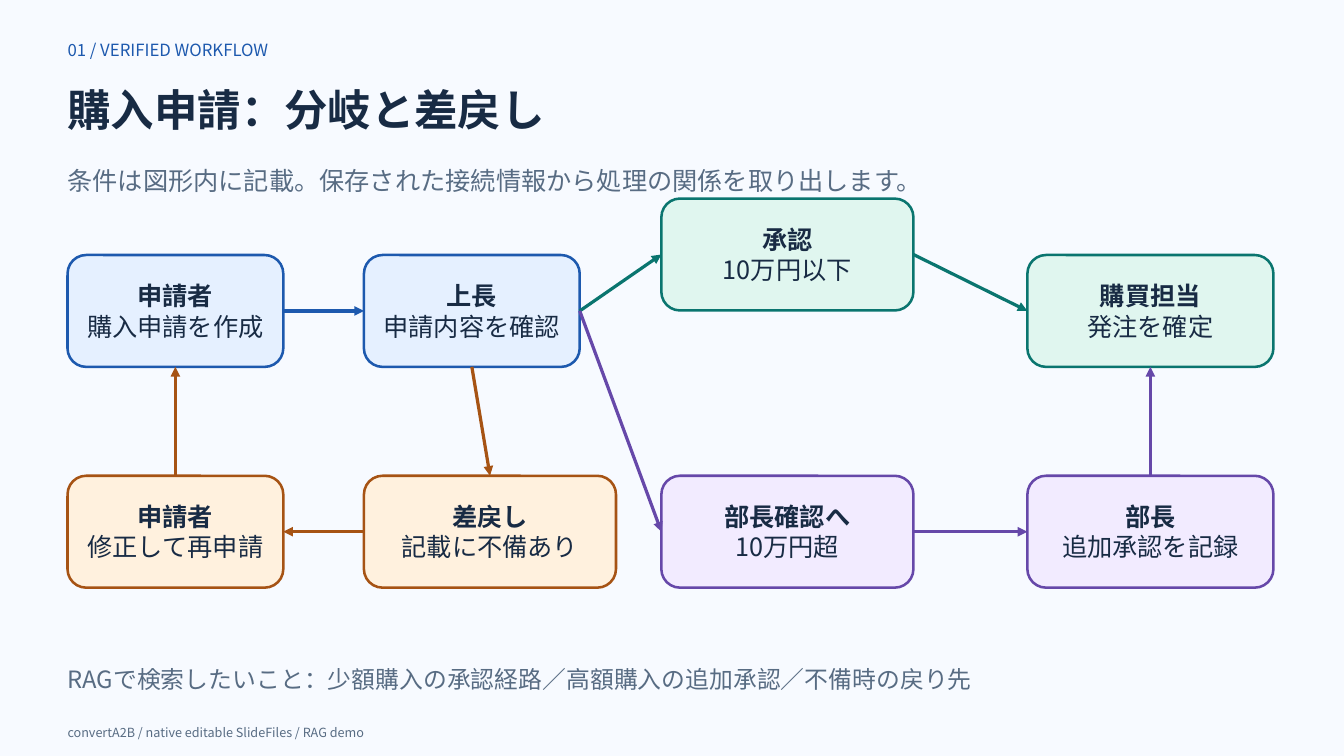
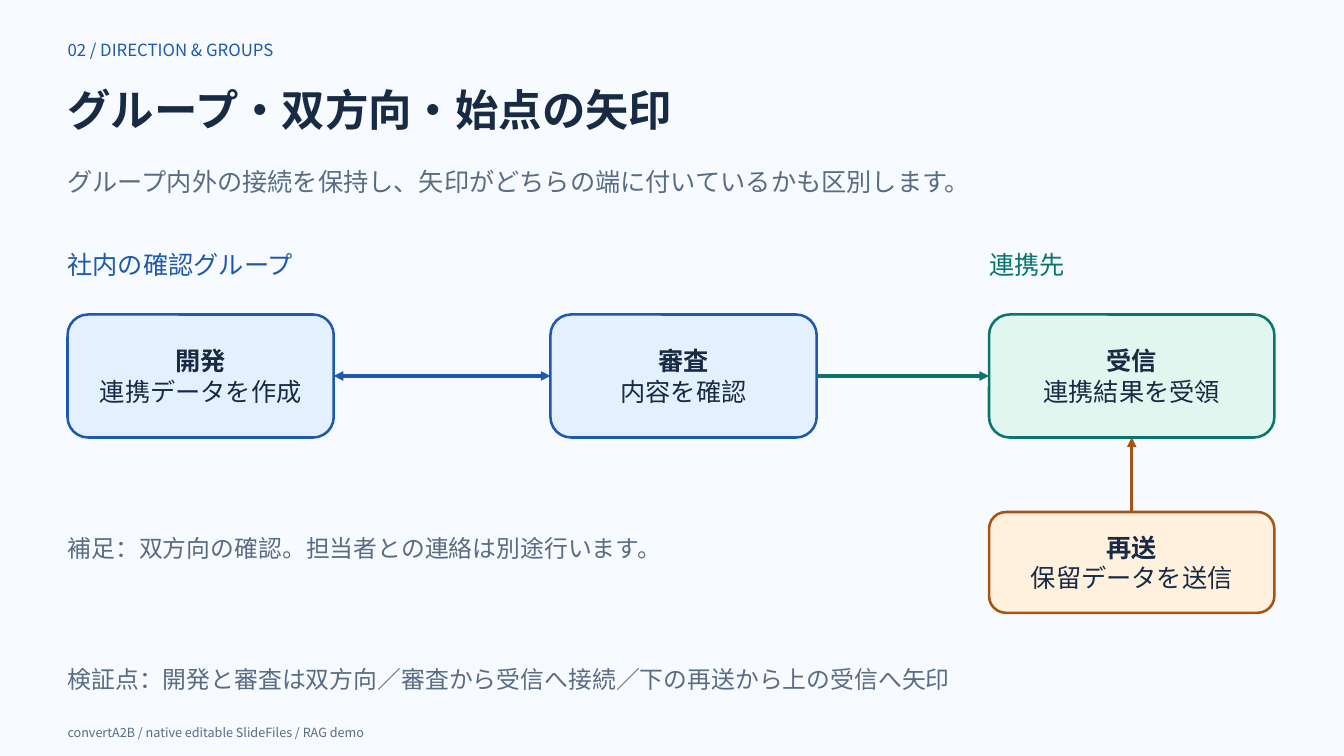
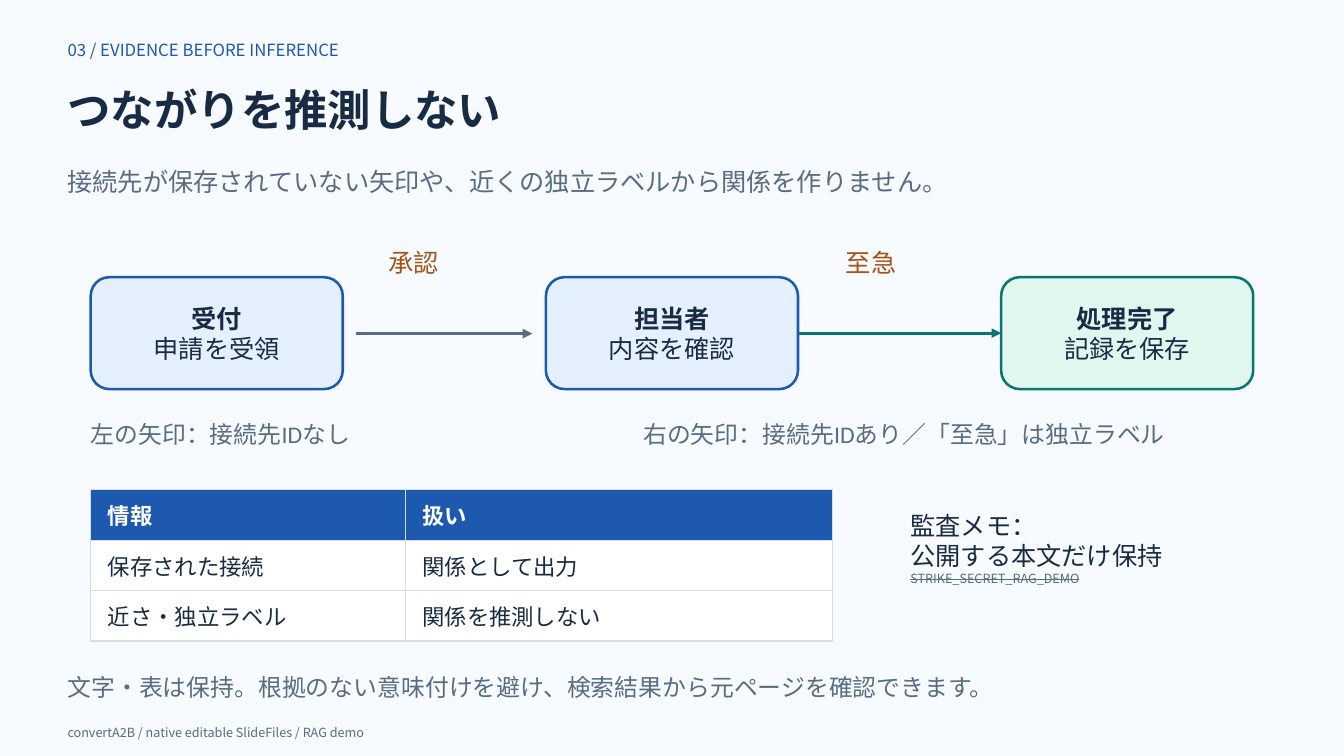
import dataclasses

import pptx
import pptx.dml.color
import pptx.enum.shapes
import pptx.enum.text
import pptx.oxml
import pptx.oxml.ns
import pptx.util
from pptx.util import Inches

ALIGN = pptx.enum.text.PP_ALIGN
TOP, LEFT, BOTTOM, RIGHT = range(4)


@dataclasses.dataclass(frozen=True)
class Theme:
    paper: str = "F7FAFF"
    white: str = "FFFFFF"
    ink: str = "182B44"
    gray: str = "586C83"
    rule: str = "D2DEEC"
    blue: str = "1D59AE"
    green: str = "0A756F"
    brown: str = "A65314"
    plum: str = "6648A9"
    sans: str = "Calibri"
    noto: str = "Noto Sans CJK JP"
    head: int = 31
    body: int = 18
    note: int = 17
    cell: int = 16
    tag: int = 12
    foot: int = 9
    edge: float = 1.8
    wire: float = 2.3
    left: float = 0.67
    wide: float = 11.97


T = Theme()
TINT = {T.blue: "E5F0FF", T.green: "E0F6EF", T.brown: "FFF1DE", T.plum: "F2EBFF"}


def tone(code):
    return pptx.dml.color.RGBColor.from_string(code)


def put(par, text, *, size=T.body, color=T.ink, bold=False, font=T.sans, strike=False):
    run = par.add_run()
    run.text = text
    run.font.size = pptx.util.Pt(size)
    run.font.bold = bold
    run.font.name = font
    run.font.color.rgb = tone(color)
    if strike:
        run.font._element.set("strike", "sngStrike")
    return run


def child(node, tag, **attrs):
    item = pptx.oxml.ns.qn(tag)
    made = node.makeelement(item, attrs)
    node.append(made)
    return made


class Deck:
    def __init__(self):
        self.file = pptx.Presentation()
        self.file.slide_width = Inches(13.33)
        self.file.slide_height = Inches(7.5)
        self.slide = None
        self.area = None

    def page(self, tag, title, lead, close, *, lead_high=0.58, low=6.44, high=0.6, font=T.sans):
        self.slide = self.file.slides.add_slide(self.file.slide_layouts[6])
        self.area = self.slide.shapes
        fill = self.slide.background.fill
        fill.solid()
        fill.fore_color.rgb = tone(T.paper)
        full = T.left, T.wide
        self.text(tag, full[0], 0.28, full[1], 0.42, size=T.tag, color=T.blue, font=T.noto)
        self.text(title, full[0], 0.74, full[1], 0.68, size=T.head, bold=True)
        self.text("convertA2B / native editable SlideFiles / RAG demo", full[0], 7.14, full[1], 0.25,
                  size=T.foot, color=T.gray, font=T.noto)
        self.text(lead, full[0], 1.51, full[1], lead_high, color=T.gray)
        self.text(close, full[0], low, full[1], high, size=T.note, color=T.gray, font=font)

    def group(self):
        self.area = self.slide.shapes.add_group_shape().shapes

    def leave(self):
        self.area = self.slide.shapes

    def text(self, text, x, y, w, h, **form):
        box = self.area.add_textbox(Inches(x), Inches(y), Inches(w), Inches(h))
        frame = self.frame(box.text_frame, 0, 0)
        put(frame.paragraphs[0], text, **form)
        return frame

    def frame(self, frame, side, end):
        frame.word_wrap = True
        frame.vertical_anchor = pptx.enum.text.MSO_ANCHOR.MIDDLE
        frame.margin_left = frame.margin_right = Inches(side)
        frame.margin_top = frame.margin_bottom = Inches(end)
        return frame

    def card(self, name, task, color, x, y, w, h=1.11, font=T.sans):
        kind = pptx.enum.shapes.MSO_SHAPE.ROUNDED_RECTANGLE
        box = self.area.add_shape(kind, Inches(x), Inches(y), Inches(w), Inches(h))
        box.shadow.inherit = False
        box.fill.solid()
        box.fill.fore_color.rgb = tone(TINT[color])
        box.line.color.rgb = tone(color)
        box.line.width = pptx.util.Pt(T.edge)
        frame = self.frame(box.text_frame, 0.11, 0.06)
        first, second = frame.paragraphs[0], frame.add_paragraph()
        first.alignment = second.alignment = ALIGN.CENTER
        put(first, name, bold=True)
        put(second, task, font=font)
        return box

    def wire(self, color, x1, y1, x2, y2, ends=("tailEnd",)):
        kind = pptx.enum.shapes.MSO_CONNECTOR.STRAIGHT
        line = self.area.add_connector(kind, Inches(x1), Inches(y1), Inches(x2), Inches(y2))
        line.line.color.rgb = tone(color)
        line.line.width = pptx.util.Pt(T.wire)
        for end in ends:
            child(line.line._get_or_add_ln(), "a:" + end, type="triangle")
        child(line._element.spPr, "a:effectLst")
        return line

    def join(self, color, start, out, stop, into, ends=("tailEnd",)):
        line = self.wire(color, 0, 0, 1, 1, ends)
        line.begin_connect(start, out)
        line.end_connect(stop, into)

    def table(self, rows, x, y, cols, high):
        size = Inches(sum(cols)), Inches(high * len(rows))
        grid = self.area.add_table(len(rows), len(cols), Inches(x), Inches(y), *size).table
        for col, wide in zip(grid.columns, cols):
            col.width = Inches(wide)
        for r, row in enumerate(rows):
            grid.rows[r].height = Inches(high)
            for c, text in enumerate(row):
                self.cell(grid.cell(r, c), text, r == 0)

    def cell(self, cell, text, head):
        cell.margin_left = cell.margin_right = Inches(0.17)
        cell.margin_top = cell.margin_bottom = Inches(0.06)
        cell.vertical_anchor = pptx.enum.text.MSO_ANCHOR.MIDDLE
        put(cell.text_frame.paragraphs[0], text, size=T.cell, bold=head,
            color=T.white if head else T.ink)
        props = cell._tc.get_or_add_tcPr()
        for side in ("a:lnL", "a:lnR", "a:lnT", "a:lnB"):
            line = child(props, side, w=str(pptx.util.Pt(1)))
            child(child(line, "a:solidFill"), "a:srgbClr", val=T.rule)
        cell.fill.solid()
        cell.fill.fore_color.rgb = tone(T.blue if head else T.white)


def flow(deck):
    deck.page("01 / VERIFIED WORKFLOW", "購入申請：分岐と差戻し",
              "条件は図形内に記載。保存された接続情報から処理の関係を取り出します。",
              "RAGで検索したいこと：少額購入の承認経路／高額購入の追加承認／不備時の戻り先",
              lead_high=0.56, font=T.noto)
    cols = T.left, 3.61, 6.56, 10.19
    high, low = 2.53, 4.72
    ask = deck.card("申請者", "購入申請を作成", T.blue, cols[0], high, 2.14)
    boss = deck.card("上長", "申請内容を確認", T.blue, cols[1], high, 2.14)
    pass_ = deck.card("承認", "10万円以下", T.green, cols[2], 1.97, 2.5, font=T.noto)
    buy = deck.card("購買担当", "発注を確定", T.green, cols[3], high, 2.44)
    back = deck.card("差戻し", "記載に不備あり", T.brown, cols[1], low, 2.5)
    redo = deck.card("申請者", "修正して再申請", T.brown, cols[0], low, 2.14)
    rise = deck.card("部長確認へ", "10万円超", T.plum, cols[2], low, 2.5, font=T.noto)
    chief = deck.card("部長", "追加承認を記録", T.plum, cols[3], low, 2.44)
    for link in (
        (T.blue, ask, RIGHT, boss, LEFT),
        (T.green, boss, RIGHT, pass_, LEFT),
        (T.green, pass_, RIGHT, buy, LEFT),
        (T.brown, boss, BOTTOM, back, TOP),
        (T.brown, back, LEFT, redo, RIGHT),
        (T.brown, redo, TOP, ask, BOTTOM),
        (T.plum, boss, RIGHT, rise, LEFT),
        (T.plum, rise, RIGHT, chief, LEFT),
        (T.plum, chief, TOP, buy, BOTTOM),
    ):
        deck.join(*link)


def groups(deck):
    deck.page("02 / DIRECTION & GROUPS", "グループ・双方向・始点の矢印",
              "グループ内外の接続を保持し、矢印がどちらの端に付いているかも区別します。",
              "検証点：開発と審査は双方向／審査から受信へ接続／下の再送から上の受信へ矢印")
    far, row, tall = 9.81, 3.12, 1.22
    deck.text("社内の確認グループ", T.left, 2.36, 7.71, 0.53, color=T.blue)
    deck.text("連携先", far, 2.36, 2.83, 0.53, color=T.green)
    deck.group()
    make = deck.card("開発", "連携データを作成", T.blue, T.left, row, 2.64, tall)
    check = deck.card("審査", "内容を確認", T.blue, 5.46, row, 2.64, tall)
    deck.join(T.blue, make, RIGHT, check, LEFT, ("headEnd", "tailEnd"))
    deck.text("補足：双方向の確認。担当者との連絡は別途行います。", T.left, 5.06, 7.75, 0.75,
              size=T.note, color=T.gray)
    deck.leave()
    take = deck.card("受信", "連携結果を受領", T.green, far, row, 2.83, tall)
    send = deck.card("再送", "保留データを送信", T.brown, far, 5.08, 2.83, 1)
    deck.join(T.green, check, RIGHT, take, LEFT)
    deck.join(T.brown, take, BOTTOM, send, TOP, ("headEnd",))


def proof(deck):
    deck.page("03 / EVIDENCE BEFORE INFERENCE", "つながりを推測しない",
              "接続先が保存されていない矢印や、近くの独立ラベルから関係を作りません。",
              "文字・表は保持。根拠のない意味付けを避け、検索結果から元ページを確認できます。",
              low=6.58, high=0.47)
    steps = (("受付", "申請を受領", T.blue), ("担当者", "内容を確認", T.blue),
             ("処理完了", "記録を保存", T.green))
    left = 0.9
    cards = [deck.card(*step, left + 4.515 * i, 2.75, 2.5) for i, step in enumerate(steps)]
    deck.wire(T.gray, 3.53, 3.31, 5.28, 3.31)
    deck.join(T.green, cards[1], RIGHT, cards[2], LEFT)
    for label, x in (("承認", 3.85), ("至急", 8.39)):
        deck.text(label, x, 2.35, 1.15, 0.5, color=T.brown)
    for label, x, w in (("左の矢印：接続先IDなし", left, 5.07),
                        ("右の矢印：接続先IDあり／「至急」は独立ラベル", 6.38, 6.11)):
        deck.text(label, x, 4.06, w, 0.5, size=T.note, color=T.gray)
    deck.table((("情報", "扱い"), ("保存された接続", "関係として出力"),
                ("近さ・独立ラベル", "関係を推測しない")), left, 4.86, (3.12, 4.24), 0.5)
    memo = deck.text("監査メモ：", 9.03, 4.88, 3.6, 1.11).add_paragraph()
    put(memo, "公開する本文だけ保持")
    put(memo, " STRIKE_SECRET_RAG_DEMO", size=T.foot, color=T.gray, font=T.noto, strike=True)


def main():
    deck = Deck()
    for build in (flow, groups, proof):
        build(deck)
    deck.file.save("out.pptx")


if __name__ == "__main__":
    main()
